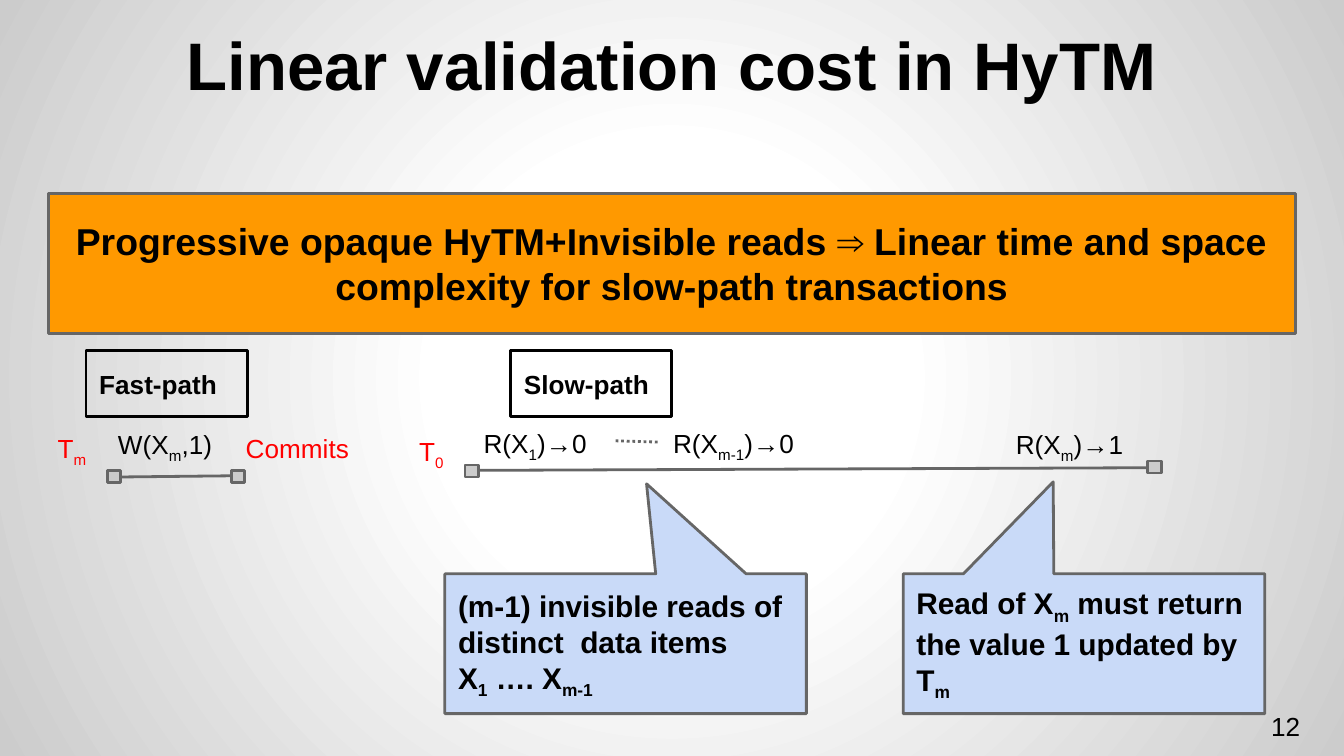
from dataclasses import dataclass

from pptx import Presentation
from pptx import oxml
from pptx import util as u
from pptx.dml.color import RGBColor
from pptx.enum import dml, shapes, text
from pptx.oxml import ns


@dataclass(frozen=True)
class Theme:
    font: str = "Arial"
    ink: str = "000000"
    accent: str = "FF0000"
    stroke: str = "666666"
    banner: str = "FF9900"
    callout: str = "C9DAF8"
    marker: str = "CCCCCC"
    glow: tuple = ((0, "FFFFFF"), (30, "FFFFFF"), (100, "CCCCCC"))
    title_size: int = 36
    banner_size: int = 20
    callout_size: int = 16
    label_size: int = 14
    line_width: float = 1.5


CELL = 0.1  # the grid has square cells; 100 columns span the page
COLUMNS, ROWS = 100, 56.25
LEFT, CENTER = text.PP_ALIGN.LEFT, text.PP_ALIGN.CENTER
TOP, MIDDLE, BOTTOM = (text.MSO_ANCHOR.TOP, text.MSO_ANCHOR.MIDDLE,
                       text.MSO_ANCHOR.BOTTOM)


def cells(*counts):
    return [u.Inches(count * CELL) for count in counts]


def apply(target, values):
    for name, value in values.items():
        setattr(target, name, value)


class Painter:
    def __init__(self, page, theme):
        self.page, self.theme = page, theme

    def backdrop(self):
        """Radial gradient, light in the middle."""
        self.page.background.fill.gradient()
        stops = "".join(
            f'<a:gs pos="{place * 1000}"><a:srgbClr val="{color}"/></a:gs>'
            for place, color in self.theme.glow)
        gradient = oxml.parse_xml(
            f'<a:gradFill {ns.nsdecls("a")}><a:gsLst>{stops}</a:gsLst>'
            '<a:path path="circle"><a:fillToRect l="50000" t="50000" '
            'r="50000" b="50000"/></a:path></a:gradFill>')
        old = self.page.element.find(".//" + ns.qn("a:gradFill"))
        old.getparent().replace(old, gradient)

    def set_text(self, shape, lines, size, bold=False, color=None,
                 align=LEFT, anchor=MIDDLE):
        """Fill a shape with text; {braces} mark subscripts."""
        frame = shape.text_frame
        inset = u.Inches(0.1)
        apply(frame, dict(word_wrap=True, vertical_anchor=anchor,
                          margin_left=inset, margin_right=inset,
                          margin_top=inset, margin_bottom=inset))
        for index, line in enumerate(lines.split("\n")):
            para = frame.add_paragraph() if index else frame.paragraphs[0]
            para.alignment = align
            pieces = line.replace("}", "{").split("{")
            for order, piece in enumerate(pieces):
                if not piece:
                    continue
                span = para.add_run()
                span.text = piece
                apply(span.font, dict(name=self.theme.font,
                                      size=u.Pt(size), bold=bold))
                span.font.color.rgb = RGBColor.from_string(
                    color or self.theme.ink)
                if order % 2:
                    span._r.get_or_add_rPr().set("baseline", "-25000")

    def label(self, area, words, size=None, **style):
        box = self.page.shapes.add_textbox(*cells(*area))
        self.set_text(box, words, size or self.theme.label_size, **style)

    def stroke(self, line, color):
        line.color.rgb = RGBColor.from_string(color)
        line.width = u.Pt(self.theme.line_width)

    def panel(self, area, fill=None, line=None,
              kind=shapes.MSO_SHAPE.RECTANGLE):
        shape = self.page.shapes.add_shape(kind, *cells(*area))
        shape.shadow.inherit = False
        if fill:
            shape.fill.solid()
            shape.fill.fore_color.rgb = RGBColor.from_string(fill)
        else:
            shape.fill.background()
        self.stroke(shape.line, line or self.theme.stroke)
        return shape

    def callout(self, column, tip, words):
        shape = self.panel((column, 42.7, 26.9, 10.4), self.theme.callout,
                           kind=shapes.MSO_SHAPE.ROUNDED_RECTANGULAR_CALLOUT)
        for index, value in enumerate((*tip, 0)):
            shape.adjustments[index] = value
        self.set_text(shape, words, self.theme.callout_size, bold=True)

    def heading(self, column, words):
        shape = self.panel((column, 26.1, 12, 4.9), line=self.theme.ink)
        self.set_text(shape, words, self.theme.label_size, bold=True)

    def line(self, start, end, dotted=False):
        link = self.page.shapes.add_connector(
            shapes.MSO_CONNECTOR.STRAIGHT, *cells(*start, *end))
        self.stroke(link.line, self.theme.stroke)
        if dotted:
            link.line.dash_style = dml.MSO_LINE.ROUND_DOT
        link._element.spPr.append(
            oxml.parse_xml(f'<a:effectLst {ns.nsdecls("a")}/>'))

    def timeline(self, start, end, markers):
        self.line(start, end)
        for column, row in markers:
            self.panel((column, row, 1, 0.9), self.theme.marker)


def main():
    deck = Presentation()
    deck.slide_width, deck.slide_height = cells(COLUMNS, ROWS)
    theme = Theme()
    painter = Painter(deck.slides.add_slide(deck.slide_layouts[6]), theme)
    painter.backdrop()

    # Page number, title and main claim
    painter.label((93.6, 51.9, 6, 4.3), "12")
    painter.label((5, 0.3, 90, 8.4), "Linear validation cost in HyTM",
                  theme.title_size, bold=True, align=CENTER, anchor=BOTTOM)
    claim = painter.panel((3.6, 14.4, 92.8, 10.4), theme.banner)
    painter.set_text(claim, "Progressive opaque HyTM+Invisible reads ⇒ Linear "
                     "time and space complexity for slow-path transactions",
                     theme.banner_size, bold=True, align=CENTER)

    # Explanations of the reads
    painter.callout(33.1, (0.058, -1.144),
                    "(m-1) invisible reads of distinct  data items\n"
                    "X{1} …. X{m-1}")
    painter.callout(67.2, (-0.085, -1.158),
                    "Read of X{m} must return the value 1 updated by T{m}")

    # Both transactions
    painter.heading(6.4, "Fast-path")
    painter.timeline((8.2, 35.5), (17.6, 35.4), ((8, 35), (17.2, 35)))
    painter.heading(38, "Slow-path")
    painter.timeline((35, 35), (86.2, 34.8), ((34.6, 34.6), (85.4, 34.3)))
    painter.line((45.8, 32.8), (49.1, 32.9), dotted=True)

    # Transaction names and outcome, then operations
    for column, row, width, words in ((3.3, 31.2, 6.4, "T{m}"),
                                      (17.3, 31.2, 11.6, "Commits"),
                                      (30.2, 31.4, 6.4, "T{0}")):
        painter.label((column, row, width, 4.3), words,
                      color=theme.accent, anchor=TOP)
    for column, row, words in ((7.8, 30.9, "W(X{m},1)"),
                               (35, 30.8, "R(X{1})→0"),
                               (49.1, 30.8, "R(X{m-1})→0"),
                               (74.6, 30.9, "R(X{m})→1")):
        painter.label((column, row, 11.6, 4.3), words, anchor=TOP)

    deck.save("out.pptx")


if __name__ == "__main__":
    main()
